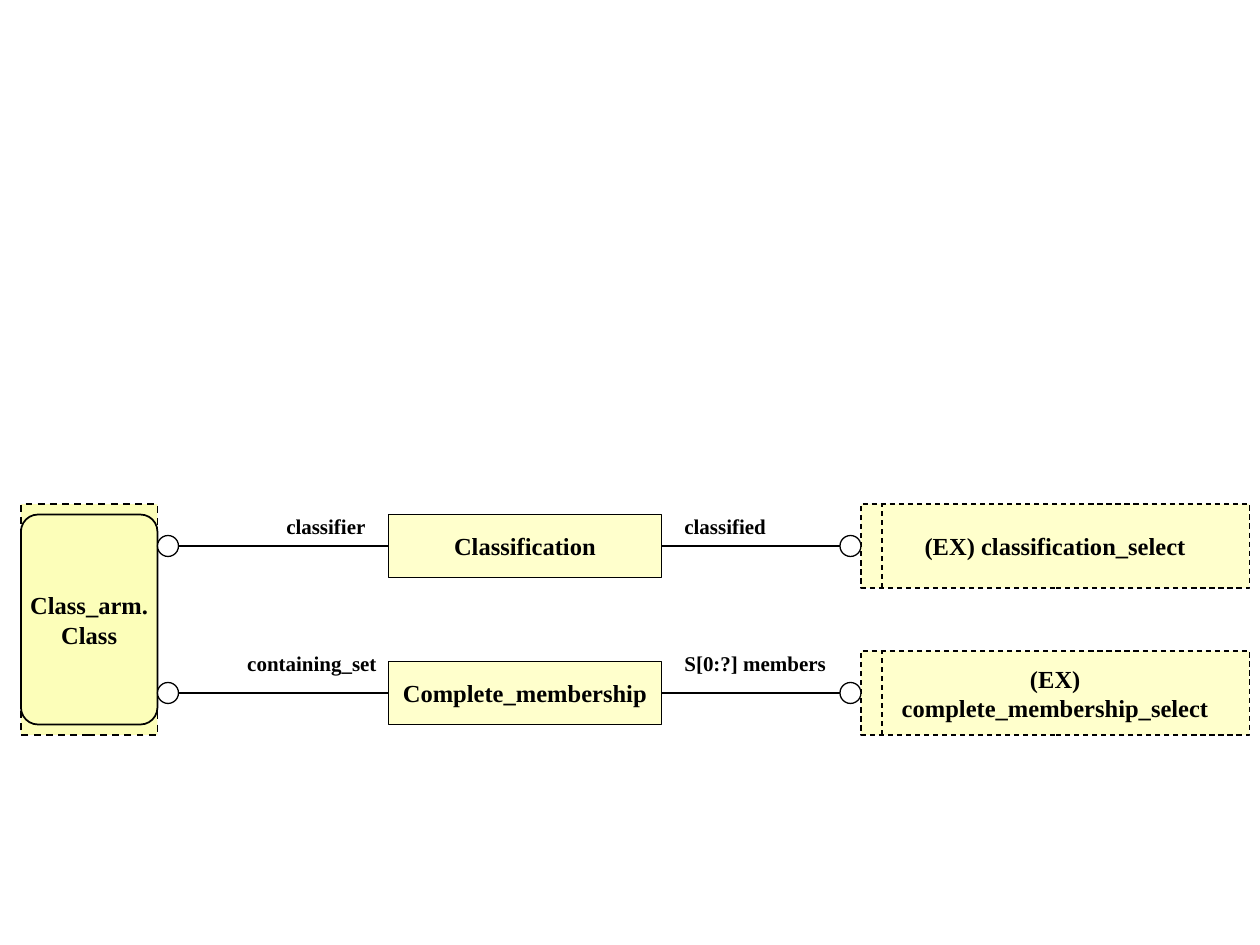
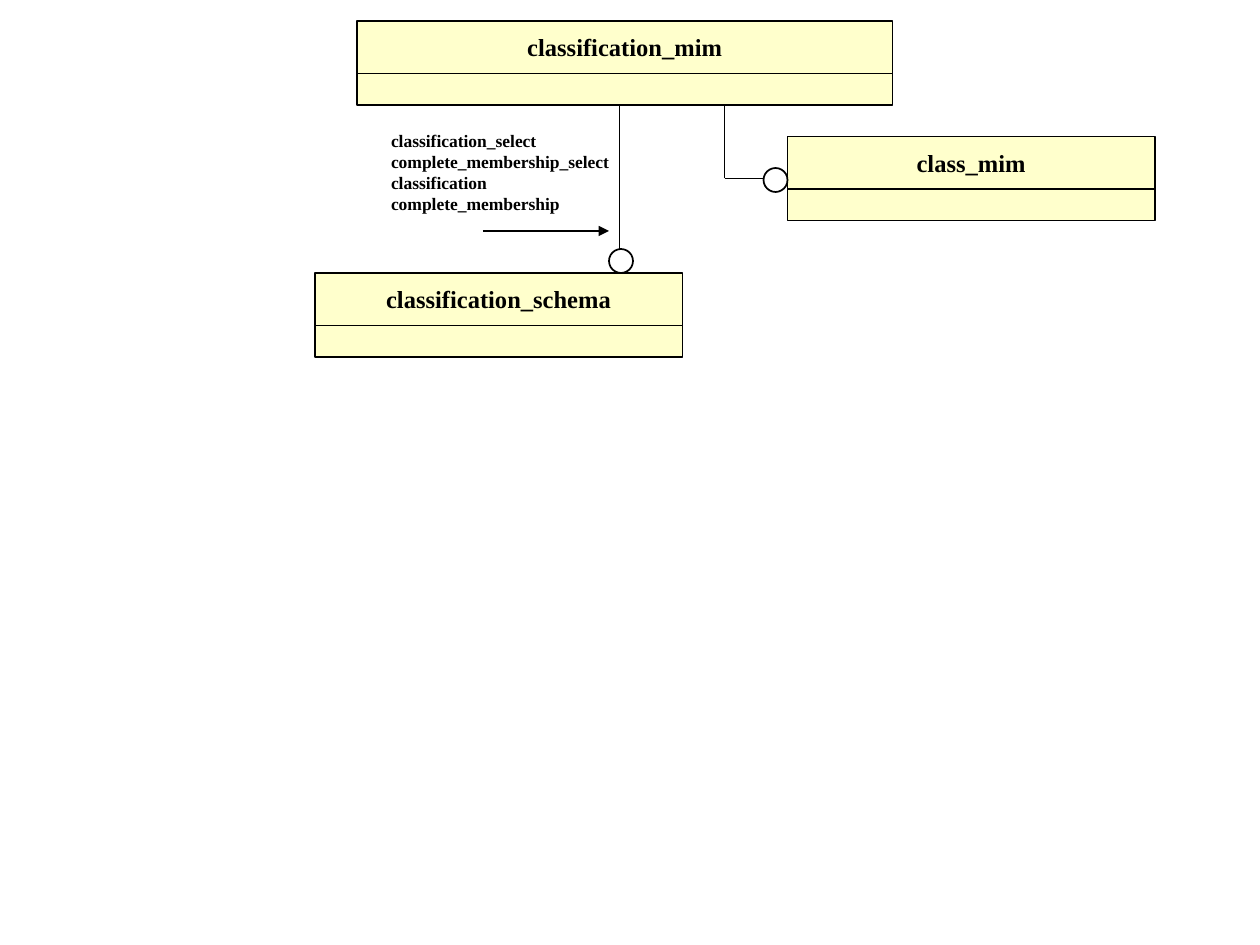
from pptx import Presentation
from pptx.dml.color import RGBColor
from pptx.enum import dml, shapes, text
from pptx.oxml import ns, xmlchemy
from pptx.util import Pt

COLORS = {"ink": "000000", "entity": "FFFFCC", "external": "FCFEB9", "paper": "FFFFFF"}
FONT = "Times New Roman"
NAME_SIZE, ROLE_SIZE, ITEM_SIZE = 14, 12, 10
ALIGN = text.PP_ALIGN
KIND = shapes.MSO_SHAPE


def color(name):
    return RGBColor.from_string(COLORS[name])


def style_line(line, width, dashed):
    line.color.rgb = color("ink")
    line.width = Pt(width)
    if dashed:
        line.dash_style = dml.MSO_LINE.DASH


def write(frame, words, size, align, wrap=False):
    frame.text = words
    frame.word_wrap = wrap
    for paragraph in frame.paragraphs:
        paragraph.alignment = align
        for run in paragraph.runs:
            run.font.name = FONT
            run.font.size = Pt(size)
            run.font.bold = True
            run.font.color.rgb = color("ink")


def add_outline(parent, kind, box, fill=None, words="", width=0.75, dashed=False):
    outline = parent.add_shape(kind, *map(Pt, box))
    outline.shadow.inherit = False
    if fill:
        outline.fill.solid()
        outline.fill.fore_color.rgb = color(fill)
    else:
        outline.fill.background()
    style_line(outline.line, width, dashed)
    if words:
        outline.text_frame.vertical_anchor = text.MSO_ANCHOR.MIDDLE
        write(outline.text_frame, words, NAME_SIZE, ALIGN.CENTER)
    return outline


def add_line(parent, start, end, width=0.75, dashed=False, arrow=False):
    line = parent.add_connector(shapes.MSO_CONNECTOR.STRAIGHT, *map(Pt, start + end))
    style_line(line.line, width, dashed)
    if arrow:
        tail = xmlchemy.OxmlElement("a:tailEnd")
        tail.set("type", "triangle")
        line.line._get_or_add_ln().append(tail)
    properties = line._element.find(ns.qn("p:spPr"))
    properties.append(xmlchemy.OxmlElement("a:effectLst"))


def add_label(parent, box, words, size, align=ALIGN.LEFT, wrap=False):
    label = parent.add_textbox(*map(Pt, box))
    write(label.text_frame, words, size, align, wrap)


def add_ring(parent, left, top, size, width=0.75):
    add_outline(parent, KIND.OVAL, (left, top, size, size), "paper", width=width)


def add_external_entity(parent, box, words):
    left, top, width, height = box
    group = parent.add_group_shape().shapes
    add_outline(group, KIND.RECTANGLE, box, "external", words, width=1, dashed=True)
    rounded = add_outline(group, KIND.ROUNDED_RECTANGLE,
                          (left, top + 6, width, height - 12), width=1)
    rounded.adjustments[0] = 0.125


def add_select(parent, box, words):
    left, top, width, height = box
    add_outline(parent, KIND.RECTANGLE, box, "entity", words, dashed=True)
    divider = left + 12
    add_line(parent, (divider, top + height), (divider, top), dashed=True)


def add_relation(parent, axis, entity, select, left_role, right_role, role_rise):
    """Draw an entity centred on the height axis, tied to a class and a select type.

    left_role holds the role's words, box width and right edge.
    """
    entity_left, entity_width, select_left, ring = 222, 156, 492, 12
    entity_right = entity_left + entity_width
    role_top = axis - role_rise
    add_outline(parent, KIND.RECTANGLE, (entity_left, axis - 18, entity_width, 36),
                "entity", entity)
    add_select(parent, (select_left, axis - 24, 222, 48), select)
    words, width, right = left_role
    add_label(parent, (right - width, role_top, width, 21.6), words, ROLE_SIZE, ALIGN.RIGHT)
    add_label(parent, (entity_right + 6, role_top, 114, 21.6), right_role, ROLE_SIZE, wrap=True)
    add_line(parent, (entity_left, axis), (96, axis))
    add_line(parent, (select_left - ring, axis), (entity_right, axis))
    for ring_left in (90, select_left - ring):
        add_ring(parent, ring_left, axis - ring / 2, ring)


def add_schema(parent, left, top, width, name):
    group = parent.add_group_shape().shapes
    add_outline(group, KIND.RECTANGLE, (left, top, width, 30), "entity", name)
    add_outline(group, KIND.RECTANGLE, (left, top + 30, width, 18), "entity")


def build_entity_slide(slide):
    parent = slide.shapes
    add_external_entity(parent, (12, 288, 78, 132), "Class_arm.\nClass")
    relations = [
        ("Classification", "(EX) classification_select",
         ("classifier", 60, 216), "classified", 22),
        ("Complete_membership", "(EX)\ncomplete_membership_select",
         ("containing_set", 88.5, 222.4), "S[0:?] members", 27.6),
    ]
    for row, relation in enumerate(relations):
        add_relation(parent, 312 + 84 * row, *relation)


def build_schema_slide(slide):
    parent = slide.shapes
    add_schema(parent, 204, 12, 306, "classification_mim")
    add_schema(parent, 180, 156, 210, "classification_schema")
    add_schema(parent, 450, 78, 210, "class_mim")
    ring = 13.7
    add_line(parent, (414, 102), (414, 60))
    add_line(parent, (414, 102), (438, 102))
    add_ring(parent, 450 - ring, 96, ring, width=1)
    add_line(parent, (354, 144), (354, 60), width=1)
    add_line(parent, (276, 132), (348, 132), width=1, arrow=True)
    imports = ["classification_select", "complete_membership_select",
               "classification", "complete_membership"]
    add_label(parent, (216.4, 70.5, 139, 55.4), "\n".join(imports), ITEM_SIZE)
    add_ring(parent, 348, 156 - ring, ring, width=1)


def main():
    deck = Presentation()
    deck.slide_width, deck.slide_height = Pt(720), Pt(540)
    blank = deck.slide_layouts[6]
    for build in (build_entity_slide, build_schema_slide):
        build(deck.slides.add_slide(blank))
    deck.save("out.pptx")


if __name__ == "__main__":
    main()
